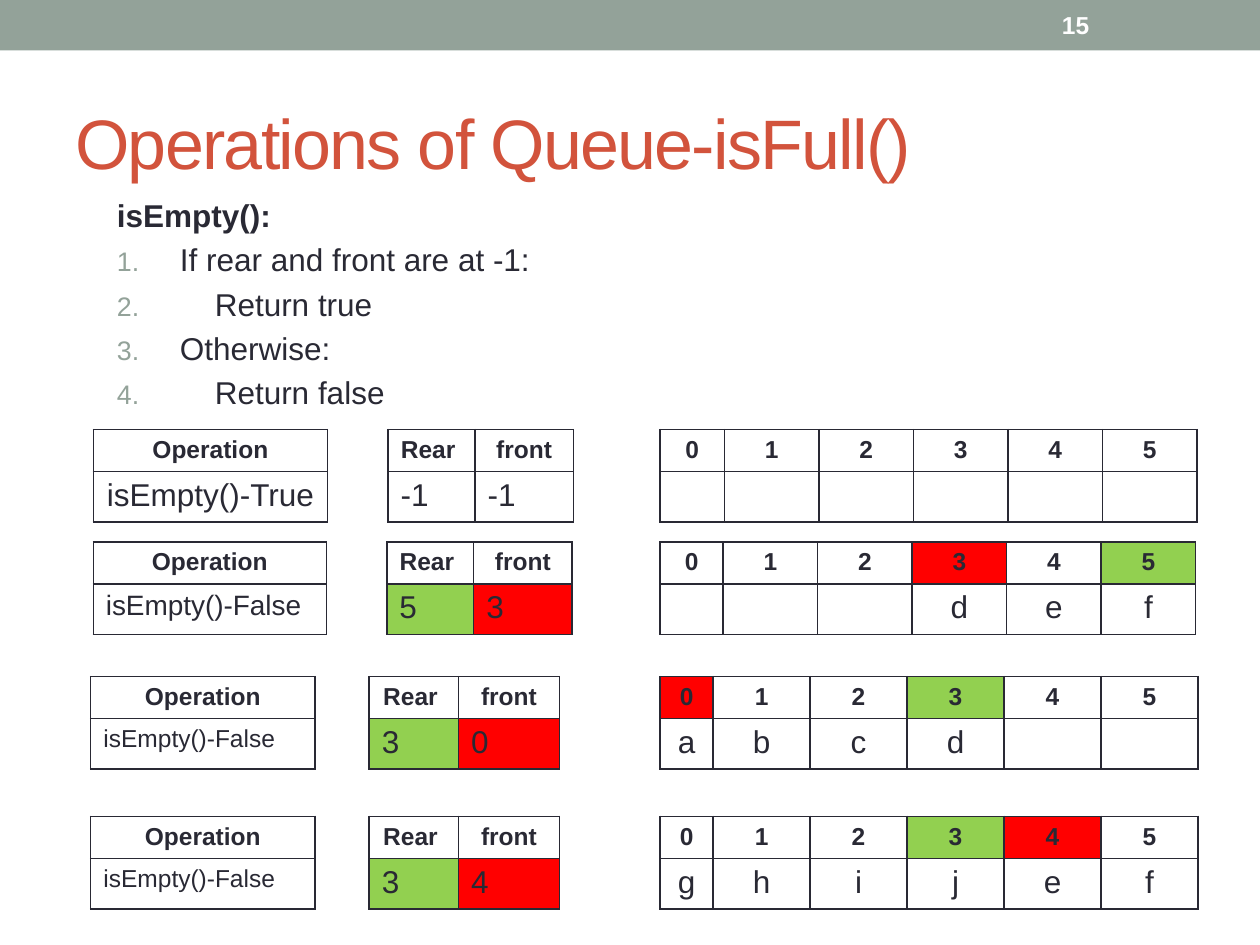
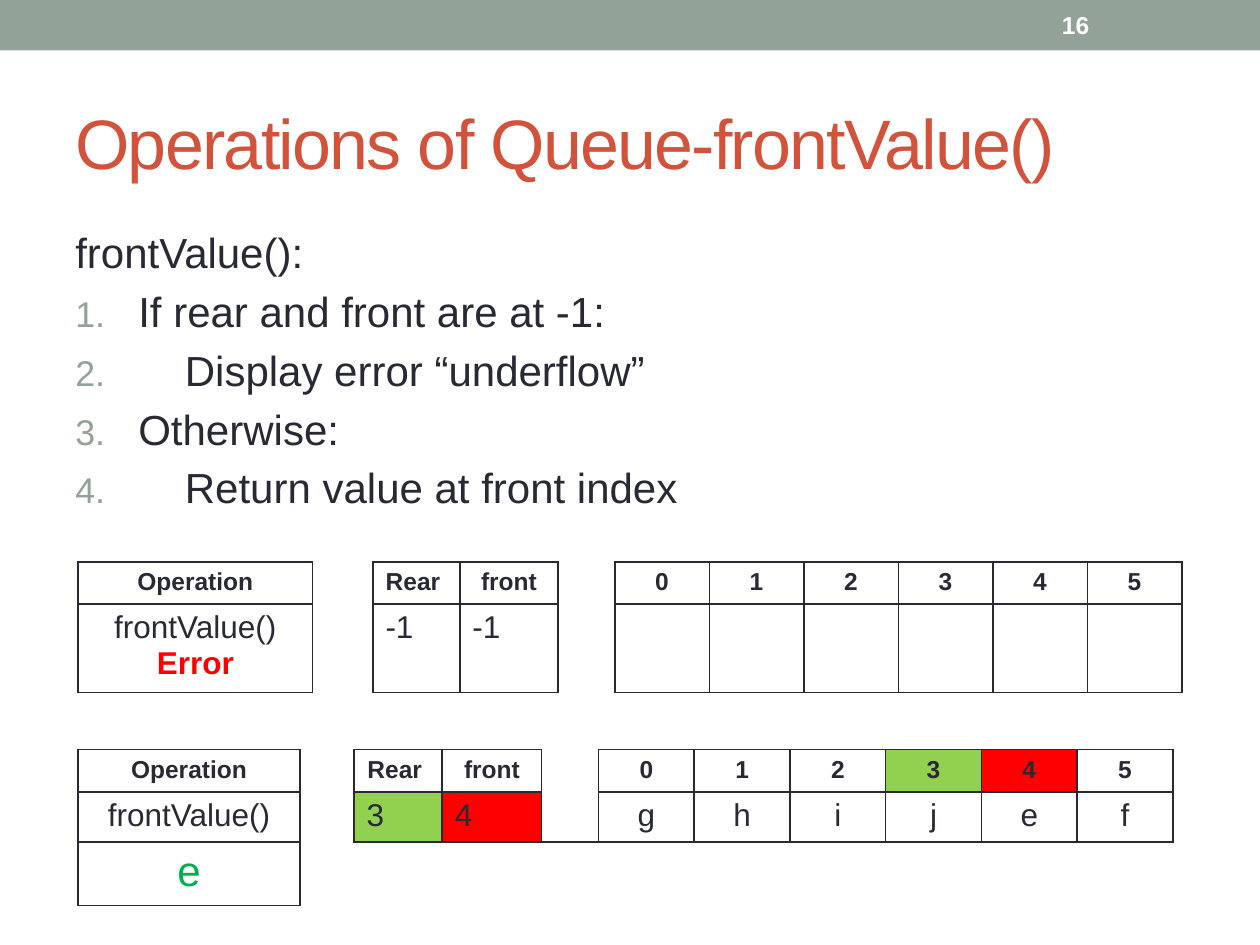
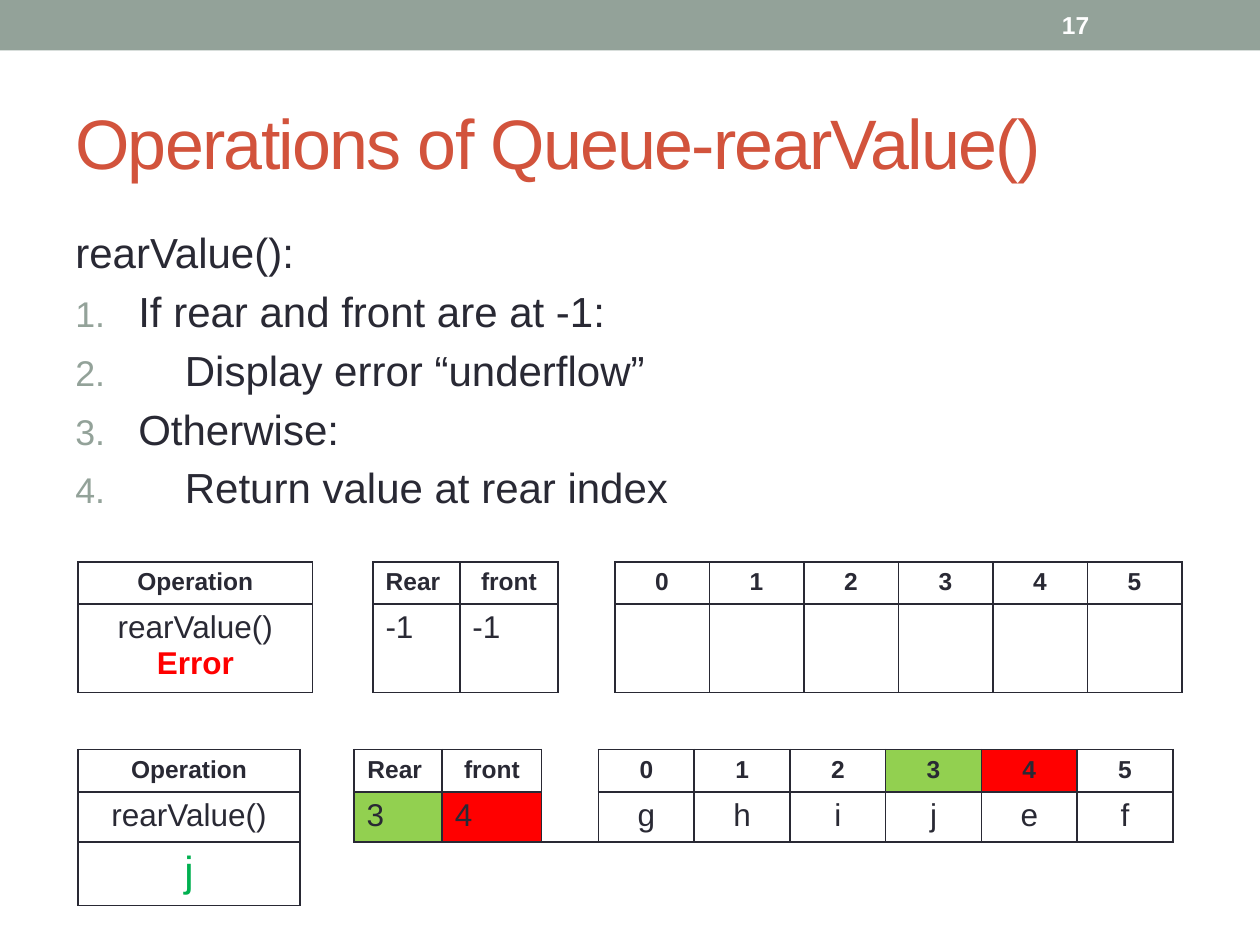
"""Builds three slides on queue operations: isEmpty, frontValue and rearValue."""
from dataclasses import dataclass

from lxml import etree
from pptx import Presentation
from pptx import util as u
from pptx.dml.color import RGBColor
from pptx.enum import shapes, text
from pptx.oxml.ns import qn

FONT = "Arial"
INK, SAGE, BRICK, WHITE = "292934", "93A299", "D2533C", "FFFFFF"
REAR_GREEN, FRONT_RED, ANSWER_GREEN = "92D050", "FF0000", "00B050"
PLAIN_TABLE = "{2D5ABB26-0587-4C30-8999-92F81FD0307C}"
LEFT, CENTER = text.PP_ALIGN.LEFT, text.PP_ALIGN.CENTER
SLOTS = 6
REAR, FRONT, FIRST_SLOT = 2, 3, 5
GAPS = (1, 4)


@dataclass(frozen=True)
class Grid:
    """Column widths of a state table, in inches."""
    operation: float
    gap: float
    rear: float
    front: float
    second_gap: float
    first_slot: float
    slot: float

    def widths(self) -> list[float]:
        """Return the width of every column, left to right."""
        return [self.operation, self.gap, self.rear, self.front, self.second_gap,
                self.first_slot] + [self.slot] * (SLOTS - 1)


@dataclass(frozen=True)
class State:
    """One queue state: the call, both indexes and the stored values."""
    grid: Grid
    left: float
    top: float
    height: float
    call: str
    rear: int = -1
    front: int = -1
    values: str = " " * SLOTS
    call_size: int = 18
    call_align: text.PP_ALIGN = CENTER
    error: str = ""
    answer: str = ""


@dataclass(frozen=True)
class Step:
    """A numbered line of pseudocode."""
    words: str
    nested: bool = False


@dataclass(frozen=True)
class Lesson:
    """The content of one slide."""
    number: int
    title: str
    heading: str
    steps: tuple[Step, ...]
    states: tuple[State, ...]
    body_left: float = 0.5
    body_top: float = 1.75
    body_size: int = 24
    bold_heading: bool = False


def rgb(code: str) -> RGBColor:
    """Turn a hex string into a colour."""
    return RGBColor.from_string(code)


def child(parent, tag: str, **attributes):
    """Append a DrawingML element and return it."""
    return etree.SubElement(parent, qn(tag), attributes)


def write(paragraph, words: str, size: int = 18, color: str = INK, bold: bool = False,
          align: text.PP_ALIGN = LEFT, tracking: int = 0) -> None:
    """Write one formatted run, or give an empty paragraph its size."""
    paragraph.alignment = align
    if not words:
        child(paragraph._p, "a:endParaRPr", sz=str(size * 100))
        return
    run = paragraph.add_run()
    run.text = words
    run.font.name, run.font.size, run.font.bold = FONT, u.Pt(size), bold
    run.font.color.rgb = rgb(color)
    if tracking:
        run.font._element.set("spc", str(tracking))


def add_text_frame(slide, left: float, top: float, width: float, height: float,
                   anchor=text.MSO_ANCHOR.MIDDLE):
    """Add a wrapping text box and return its text frame."""
    box = slide.shapes.add_textbox(*map(u.Inches, (left, top, width, height)))
    frame = box.text_frame
    frame.word_wrap = True
    frame.vertical_anchor = anchor
    return frame


def space_before(paragraph) -> None:
    """Put a fifth of a line above the paragraph."""
    spacing = child(paragraph._p.get_or_add_pPr(), "a:spcBef")
    child(spacing, "a:spcPct", val="20000")


def number_step(paragraph, indent: float) -> None:
    """Number a paragraph, with its words hanging at the indent."""
    properties = paragraph._p.get_or_add_pPr()
    properties.set("marL", str(u.Inches(indent)))
    properties.set("indent", str(-u.Inches(indent)))
    child(child(properties, "a:buClr"), "a:srgbClr", val=SAGE)
    child(properties, "a:buSzPct", val="85000")
    child(properties, "a:buFont", typeface="+mj-lt")
    child(properties, "a:buAutoNum", type="arabicPeriod")


def draw_frame(slide, lesson: Lesson) -> None:
    """Draw the top band, the slide number and the title."""
    band = slide.shapes.add_shape(shapes.MSO_SHAPE.RECTANGLE, 0, 0, u.Inches(10), u.Inches(0.4))
    band.shadow.inherit = False
    band.fill.solid()
    band.fill.fore_color.rgb = rgb(SAGE)
    band.line.fill.background()
    title = add_text_frame(slide, 0.5, 0.58, 9, 1.08)
    write(title.paragraphs[0], lesson.title, size=40, color=BRICK, tracking=-100)
    number = add_text_frame(slide, 8.33, 0.02, 1.17, 0.36)
    write(number.paragraphs[0], str(lesson.number), size=14, color=WHITE, bold=True)


def draw_steps(slide, lesson: Lesson) -> None:
    """Draw the heading and the numbered pseudocode."""
    frame = add_text_frame(slide, lesson.body_left, lesson.body_top, 9, 5.33,
                           text.MSO_ANCHOR.TOP)
    heading = frame.paragraphs[0]
    write(heading, lesson.heading, size=lesson.body_size, bold=lesson.bold_heading)
    space_before(heading)
    nested_indent = 0.5 + lesson.body_size / 65
    for step in lesson.steps:
        paragraph = frame.add_paragraph()
        write(paragraph, step.words, size=lesson.body_size)
        space_before(paragraph)
        number_step(paragraph, nested_indent if step.nested else 0.5)


def border(cell, sides: str = "LRTB") -> None:
    """Rule the given sides of a cell."""
    properties = cell._tc.get_or_add_tcPr()
    for side in sides:
        rule = child(properties, f"a:ln{side}", w=str(u.Pt(1)))
        child(child(rule, "a:solidFill"), "a:srgbClr", val=INK)


def shade(cell, color: str | None) -> None:
    """Fill a cell, or leave it clear."""
    if color:
        cell.fill.solid()
        cell.fill.fore_color.rgb = rgb(color)
    else:
        cell.fill.background()


def draw_answer(table, answer: str) -> None:
    """Fill the third row with the returned value."""
    returned = table.cell(2, 0)
    border(returned)
    write(returned.text_frame.paragraphs[0], answer, size=24, color=ANSWER_GREEN, align=CENTER)
    last = len(table.columns) - 1
    for column in range(REAR, last + 1):
        border(table.cell(2, column), "T")
    table.cell(2, REAR).merge(table.cell(2, last))


def draw_state(slide, state: State) -> None:
    """Draw the table of one queue state, marking the rear and front indexes."""
    widths = state.grid.widths()
    heights = [0.31, 0.37] + ([0.37] if state.answer else [])
    holder = slide.shapes.add_table(len(heights), len(widths), u.Inches(state.left),
                                    u.Inches(state.top), u.Inches(sum(widths)),
                                    u.Inches(state.height))
    table = holder.table
    table.first_row = table.horz_banding = False
    table._tbl.tblPr.find(qn("a:tableStyleId")).text = PLAIN_TABLE
    for column, width in zip(table.columns, widths):
        column.width = u.Inches(width)
    for row, height in zip(table.rows, heights):
        row.height = u.Inches(height)
    holder.height = u.Inches(state.height)

    headers = ["Operation", "", "Rear ", "front", "", *map(str, range(SLOTS))]
    contents = [state.call, "", str(state.rear), str(state.front), "",
                *(value.strip() for value in state.values)]
    marks = {}
    if state.rear >= 0:
        marks = {(1, REAR): REAR_GREEN, (0, FIRST_SLOT + state.rear): REAR_GREEN,
                 (1, FRONT): FRONT_RED, (0, FIRST_SLOT + state.front): FRONT_RED}
    for column, (header, content) in enumerate(zip(headers, contents)):
        top, bottom = table.cell(0, column), table.cell(1, column)
        size = state.call_size if column == 0 else 18
        align = {0: state.call_align, REAR: LEFT, FRONT: LEFT}.get(column, CENTER)
        write(top.text_frame.paragraphs[0], header, size=14, bold=True, align=CENTER)
        write(bottom.text_frame.paragraphs[0], content, size=size, align=align)
        for row, cell in enumerate((top, bottom)):
            border(cell, "LR" if column in GAPS else "LRTB")
            shade(cell, marks.get((row, column)))
    if state.error:
        write(table.cell(1, 0).text_frame.add_paragraph(), state.error,
              color=FRONT_RED, bold=True, align=CENTER)
    if state.answer:
        draw_answer(table, state.answer)


def value_lesson(number: int, end: str, answer: str) -> Lesson:
    """Describe the slide on reading the value at one end of the queue."""
    call = f"{end}Value()"
    return Lesson(
        number, f"Operations of Queue-{call}", f"{call}:",
        (Step("If rear and front are at -1:"), Step("Display error “underflow”", True),
         Step("Otherwise:"), Step(f"Return value at {end} index", True)),
        (State(Grid(1.86, 0.48, 0.69, 0.78, 0.45, 0.75, 0.75), 0.62, 4.46, 1.03, call,
               error="Error"),
         State(Grid(1.76, 0.43, 0.7, 0.79, 0.45, 0.76, 0.76), 0.62, 5.95, 1.23, call,
               3, 4, "ghijef", answer=answer)))


NARROW_SLOT = Grid(1.78, 0.43, 0.71, 0.8, 0.8, 0.42, 0.77)
EMPTY_CHECK = Lesson(
    15, "Operations of Queue-isFull()", "isEmpty():",
    (Step("If rear and front are at -1:"), Step("Return true", True),
     Step("Otherwise:"), Step("Return false", True)),
    (State(Grid(1.86, 0.48, 0.69, 0.78, 0.69, 0.51, 0.75), 0.74, 3.41, 0.73, "isEmpty()-True"),
     State(Grid(1.85, 0.48, 0.69, 0.78, 0.7, 0.5, 0.75), 0.74, 4.3, 0.73, "isEmpty()-False",
           5, 3, "   def", 16, LEFT),
     State(NARROW_SLOT, 0.72, 5.37, 0.73, "isEmpty()-False", 3, 0, "abcd  ", 14, LEFT),
     State(NARROW_SLOT, 0.72, 6.48, 0.73, "isEmpty()-False", 3, 4, "ghijef", 14, LEFT)),
    body_left=0.83, body_top=1.51, body_size=18, bold_heading=True)


def main() -> None:
    """Build and save the presentation."""
    deck = Presentation()
    deck.slide_width, deck.slide_height = u.Inches(10), u.Inches(7.5)
    for lesson in (EMPTY_CHECK, value_lesson(16, "front", "e"), value_lesson(17, "rear", "j")):
        slide = deck.slides.add_slide(deck.slide_layouts[6])
        draw_frame(slide, lesson)
        draw_steps(slide, lesson)
        for state in lesson.states:
            draw_state(slide, state)
    deck.save("out.pptx")


main()
